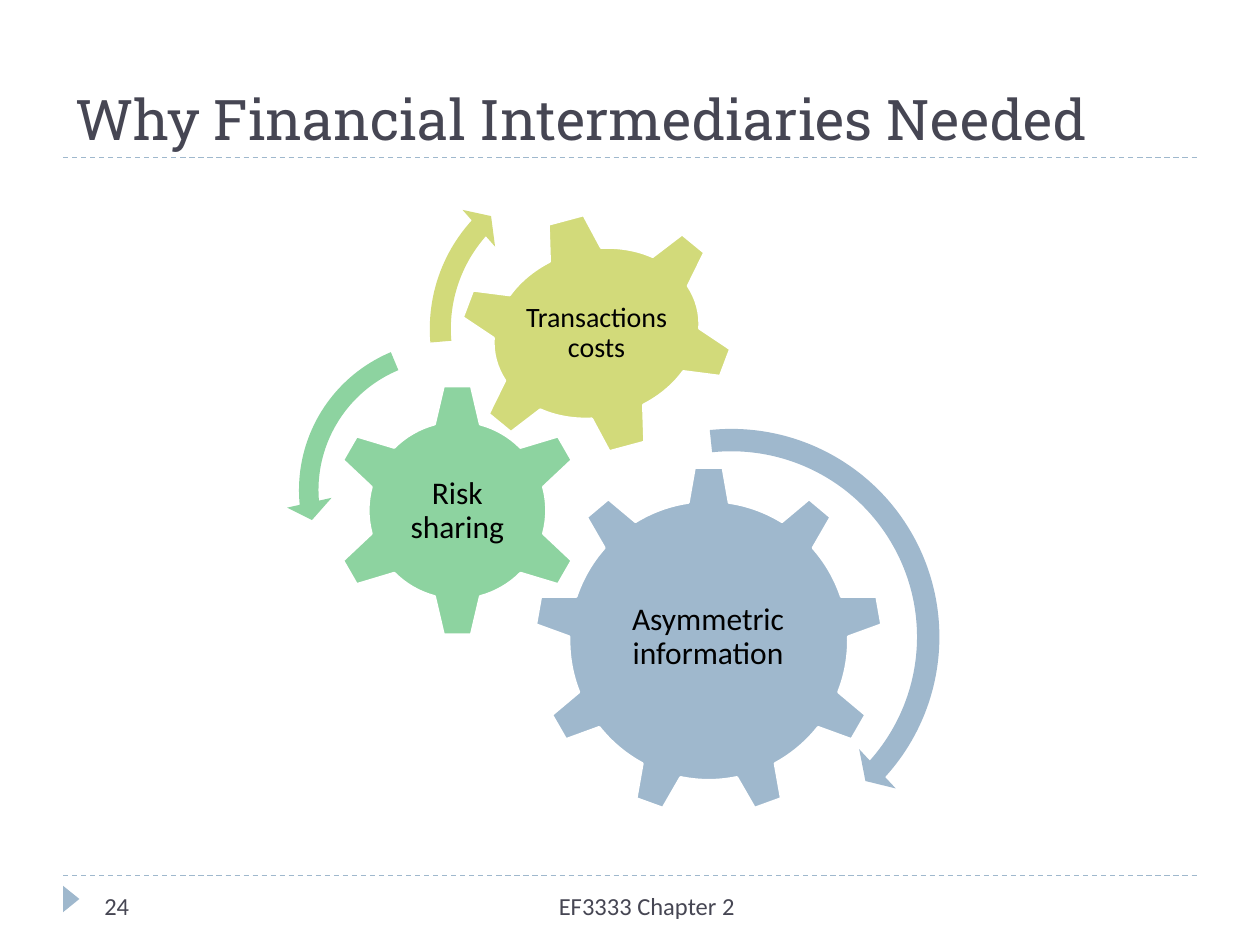
from dataclasses import dataclass

from lxml import etree
from pptx import Presentation, util as u
from pptx.dml.color import RGBColor
from pptx.enum import dml, shapes, text
from pptx.oxml.ns import qn

PX = 9144
BLUE = RGBColor(0x9F, 0xB8, 0xCD)
GREEN = RGBColor(0x8D, 0xD3, 0xA0)
LIME = RGBColor(0xD2, 0xDA, 0x7A)
INK = RGBColor(0x46, 0x46, 0x53)
BLACK = RGBColor(0, 0, 0)
WHITE = RGBColor(0xFF, 0xFF, 0xFF)
SHAPE = shapes.MSO_SHAPE
ALIGN = text.PP_ALIGN
ANCHOR = text.MSO_ANCHOR

Box = tuple[int, int, int, int]


@dataclass
class Figure:
    kind: SHAPE
    box: Box
    color: RGBColor
    rotation: int = 0
    adjustments: tuple[float, ...] = ()
    outlined: bool = False


@dataclass
class Label:
    words: str
    box: Box
    size: int
    color: RGBColor = INK
    font: str = "Calibri"
    align: ALIGN = ALIGN.LEFT
    anchor: ANCHOR = ANCHOR.TOP
    inset: int | None = None
    spacing: float | None = None


def gear(kind: SHAPE, box: Box, color: RGBColor, rotation: int = 0) -> Figure:
    return Figure(kind, box, color, rotation, outlined=True)


def gear_label(words: str, box: Box, size: int, inset: int) -> Label:
    return Label(words, box, size, BLACK, align=ALIGN.CENTER,
                 anchor=ANCHOR.MIDDLE, inset=inset, spacing=0.9)


RULES = (125, 695)
FIGURES = [
    Figure(SHAPE.ISOSCELES_TRIANGLE, (46, 707, 21, 13), BLUE, 90),
    gear(SHAPE.GEAR_9, (424, 370, 277, 277), BLUE),
    gear(SHAPE.GEAR_6, (262, 304, 202, 202), GREEN),
    gear(SHAPE.GEAR_6, (362, 169, 223, 191), LIME, 345),
    Figure(SHAPE.CIRCULAR_ARROW, (403, 328, 355, 355), BLUE,
           adjustments=(0.05, 2.99, 25.25, 158.42, 0.06)),
    Figure(SHAPE.LEFT_CIRCULAR_ARROW, (227, 260, 258, 258), GREEN,
           adjustments=(0.06, 4.3, 104.89, 148.38, 0.07)),
    Figure(SHAPE.CIRCULAR_ARROW, (330, 122, 278, 278), LIME,
           adjustments=(0.06, 3.94, 133.14, 105.08, 0.07)),
]
LABELS = [
    Label("Why Financial Intermediaries Needed", (50, 25, 900, 100), 32,
          font="Roboto Slab", anchor=ANCHOR.BOTTOM),
    gear_label("Asymmetric information", (479, 435, 166, 142), 18, 3),
    gear_label("Risk sharing", (313, 356, 100, 99), 18, 3),
    gear_label("Transactions costs", (413, 209, 121, 111), 16, 2),
    Label("EF3333 Chapter 2", (323, 702, 270, 40), 14, align=ALIGN.RIGHT),
    Label("24", (73, 702, 217, 40), 14),
]


def draw_rule(s, y: int) -> None:
    line = s.shapes.add_connector(
        shapes.MSO_CONNECTOR.STRAIGHT, 50 * PX, y * PX, 950 * PX, y * PX)
    line.line.color.rgb = BLUE
    line.line.width = u.Pt(0.75)
    line.line.dash_style = dml.MSO_LINE.DASH
    etree.SubElement(line._element.spPr, qn("a:effectLst"))


def draw_figure(s, figure: Figure) -> None:
    sp = s.shapes.add_shape(figure.kind, *(v * PX for v in figure.box))
    sp.shadow.inherit = False
    sp.rotation = figure.rotation
    for i, value in enumerate(figure.adjustments):
        sp.adjustments[i] = value
    sp.fill.solid()
    sp.fill.fore_color.rgb = figure.color
    if figure.outlined:
        sp.line.color.rgb = WHITE
        sp.line.width = u.Pt(1.5)
    else:
        sp.line.fill.background()


def draw_label(s, label: Label) -> None:
    sp = s.shapes.add_textbox(*(v * PX for v in label.box))
    tf = sp.text_frame
    tf.word_wrap = True
    tf.vertical_anchor = label.anchor
    if label.inset is not None:
        tf.margin_left = tf.margin_right = label.inset * PX
        tf.margin_top = tf.margin_bottom = label.inset * PX
    p = tf.paragraphs[0]
    p.text = label.words
    p.alignment = label.align
    p.line_spacing = label.spacing
    p.font.name = label.font
    p.font.size = u.Pt(label.size)
    p.font.color.rgb = label.color


def main() -> None:
    prs = Presentation()
    prs.slide_width, prs.slide_height = 1000 * PX, 750 * PX
    s = prs.slides.add_slide(prs.slide_layouts[6])
    for y in RULES:
        draw_rule(s, y)
    for figure in FIGURES:
        draw_figure(s, figure)
    for label in LABELS:
        draw_label(s, label)
    prs.save("out.pptx")


if __name__ == "__main__":
    main()
